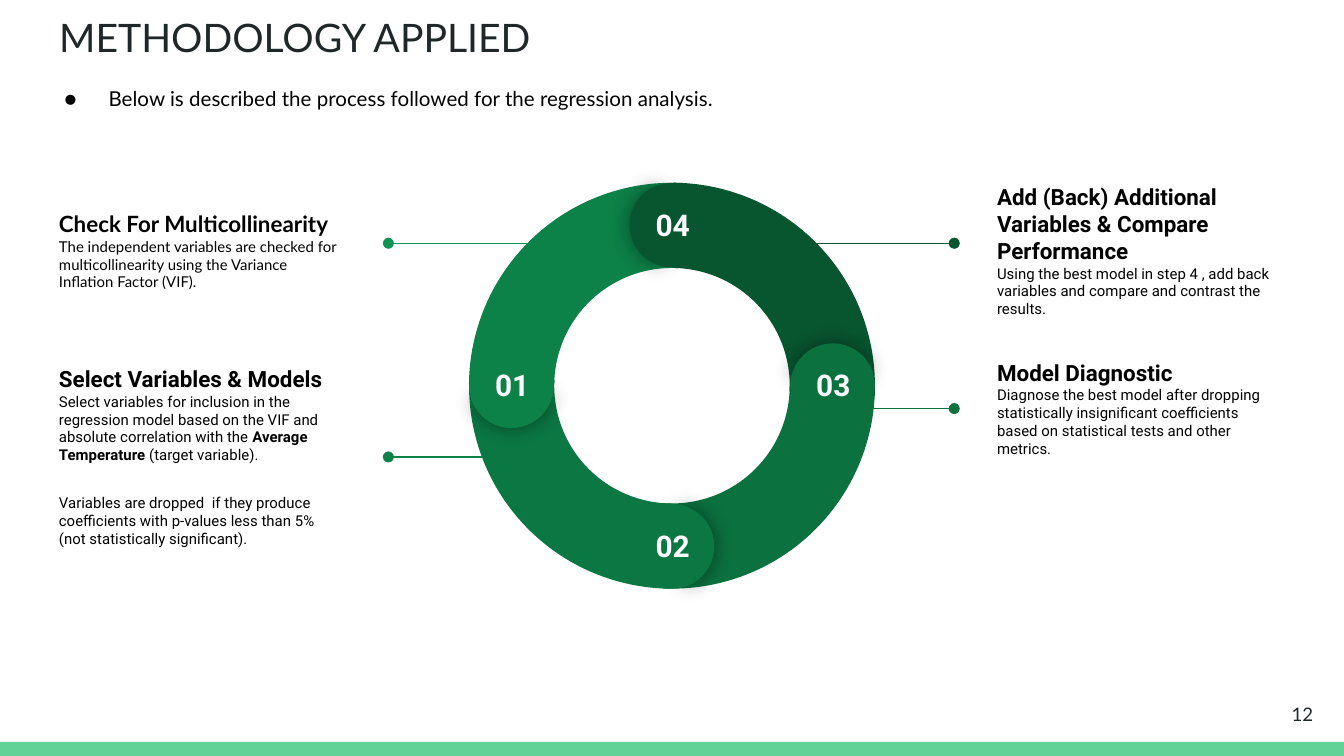
from math import cos, radians, sin

from lxml.etree import SubElement
from pptx import Presentation
from pptx.dml.color import RGBColor
from pptx.enum.shapes import MSO_CONNECTOR, MSO_SHAPE
from pptx.enum.text import MSO_ANCHOR, MSO_AUTO_SIZE, PP_ALIGN
from pptx.oxml.ns import qn
from pptx.util import Inches, Pt

BLACK = RGBColor(0x00, 0x00, 0x00)
WHITE = RGBColor(0xFF, 0xFF, 0xFF)
INK = RGBColor(0x20, 0x27, 0x29)
MINT = RGBColor(0x63, 0xD2, 0x97)
LIME = RGBColor(0x0E, 0x94, 0x53)
LEAF = RGBColor(0x0C, 0x81, 0x48)
MOSS = RGBColor(0x0B, 0x77, 0x43)
FERN = RGBColor(0x0B, 0x71, 0x3F)
PINE = RGBColor(0x08, 0x56, 0x30)

RING_X, RING_Y = 5, 2.87
RING, CAP = 3.02, 0.63

# number, colour, clockwise turn from the top of the ring
STEPS = [("03", FERN, 90), ("02", MOSS, 180), ("01", LEAF, 270), ("04", PINE, 0)]

# start x, end x, y, colour
LEADS = [
    (4.23, 2.89, 1.81, LIME),
    (3.91, 2.89, 3.4, LEAF),
    (6.14, 7.1, 3.04, FERN),
    (5.7, 7.1, 1.81, PINE),
]

# left, top, font, heading, body paragraphs made of (text, bold) runs
NOTES = [
    (0.34, 1.36, "Lato", "Check For Multicollinearity", [
        [("The independent variables are checked for multicollinearity using "
          "the Variance Inflation Factor (VIF).", False)]]),
    (0.34, 2.89, "Roboto", "Select Variables & Models", [
        [("Select variables for inclusion in the regression model based on "
          "the VIF and absolute correlation with the ", False),
         ("Average Temperature", True),
         (" (target variable).", False)],
        [("Variables are dropped  if they produce coefficients with p-values "
          "less than 5% (not statistically significant).", False)]]),
    (7.32, 2.53, "Roboto", "Model Diagnostic", [
        [("Diagnose the best model after dropping statistically insignificant "
          "coefficients based on statistical tests and other metrics.", False)]]),
    (7.32, 1.36, "Roboto",
     "Add (Back) Additional Variables & Compare Performance", [
        [("Using the best model in step 4 , add back variables and compare "
          "and contrast the results.", False)]]),
]


def set_frame(frame, anchor):
    frame.word_wrap = True
    frame.auto_size = MSO_AUTO_SIZE.NONE
    frame.vertical_anchor = anchor
    frame.margin_left = frame.margin_right = Inches(0.1)
    frame.margin_top = frame.margin_bottom = Inches(0.1)


def add_run(para, text, size, font="Lato", color=BLACK, bold=False):
    run = para.add_run()
    run.text = text
    run.font.size = Pt(size)
    run.font.name = font
    run.font.color.rgb = color
    run.font.bold = bold


def add_box(slide, left, top, width, height, anchor=MSO_ANCHOR.TOP):
    box = slide.shapes.add_textbox(
        Inches(left), Inches(top), Inches(width), Inches(height))
    set_frame(box.text_frame, anchor)
    return box.text_frame


def add_text(slide, text, left, top, width, height, align=PP_ALIGN.LEFT,
             anchor=MSO_ANCHOR.TOP, **style):
    para = add_box(slide, left, top, width, height, anchor).paragraphs[0]
    para.alignment = align
    add_run(para, text, **style)
    return para


def add_title(slide, text):
    title = slide.shapes.title
    title.left, title.top = Inches(0.34), Inches(0)
    title.width, title.height = Inches(9.32), Inches(0.63)
    set_frame(title.text_frame, MSO_ANCHOR.TOP)
    para = title.text_frame.paragraphs[0]
    para.alignment = PP_ALIGN.LEFT
    add_run(para, text, 21, color=INK)


def add_bullet(para):
    props = para._p.get_or_add_pPr()
    props.set("marL", str(Inches(0.5)))
    props.set("indent", str(Inches(-0.33)))
    color = SubElement(props, qn("a:buClr"))
    SubElement(color, qn("a:srgbClr"), val=str(BLACK))
    SubElement(props, qn("a:buFont"), typeface="Lato")
    SubElement(props, qn("a:buChar"), char="●")


def add_note(slide, left, top, font, head, body):
    frame = add_box(slide, left, top, 2.32, 1.01, MSO_ANCHOR.MIDDLE)
    add_run(frame.paragraphs[0], head, 12, font, bold=True)
    for i, runs in enumerate(body):
        para = frame.add_paragraph()
        para.space_before = Pt(16 if i else 0)
        for text, bold in runs:
            add_run(para, text, 8, font, bold=bold)
    para.space_after = Pt(16)


def add_lead(slide, start, end, y, color):
    lead = slide.shapes.add_connector(
        MSO_CONNECTOR.STRAIGHT, Inches(start), Inches(y), Inches(end), Inches(y))
    lead.line.color.rgb = color
    lead.line.width = Pt(0.75)
    props = lead._element.spPr
    SubElement(props.find(qn("a:ln")), qn("a:tailEnd"), type="oval")
    SubElement(props, qn("a:effectLst"))


def add_form(slide, kind, left, top, width, height, color, turn=0, adjust=()):
    form = slide.shapes.add_shape(
        kind, Inches(left), Inches(top), Inches(width), Inches(height))
    form.shadow.inherit = False
    form.fill.solid()
    form.fill.fore_color.rgb = color
    form.line.fill.background()
    form.rotation = turn
    for i, value in enumerate(adjust):
        form.adjustments[i] = value
    return form


def add_glow(form):
    """Add a soft shadow with no offset."""
    effects = form._element.spPr.find(qn("a:effectLst"))
    glow = SubElement(effects, qn("a:outerShdw"), blurRad=str(Pt(11.2)),
                      dist="0", dir="0", algn="bl", rotWithShape="0")
    color = SubElement(glow, qn("a:srgbClr"), val=str(BLACK))
    SubElement(color, qn("a:alpha"), val="43000")


def add_arc(slide, color, turn):
    add_form(slide, MSO_SHAPE.BLOCK_ARC, RING_X - RING / 2, RING_Y - RING / 2,
             RING, RING, color, (turn + 60) % 360, (126.23, 181.77, 0.21))


def add_cap(slide, label, color, turn):
    """Round off one arc: a shadowed tip, a cover over its rear, a number."""
    reach = (RING - CAP) / 2
    x = RING_X + reach * sin(radians(turn))
    y = RING_Y - reach * cos(radians(turn))
    area = (x - CAP / 2, y - CAP / 2, CAP, CAP, color)
    add_glow(add_form(slide, MSO_SHAPE.PIE, *area, turn + 0.7, (61.9, 149.96)))
    add_form(slide, MSO_SHAPE.PIE, *area, (turn + 180) % 360, (40.28, 171.84))
    add_text(slide, label, x - 0.27, y - 0.24, 0.55, 0.29, PP_ALIGN.CENTER,
             size=16, font="Roboto", color=WHITE, bold=True)


def main():
    deck = Presentation()
    deck.slide_width = Inches(10)
    deck.slide_height = deck.slide_width * 9 // 16
    slide = deck.slides.add_slide(deck.slide_layouts[5])

    add_form(slide, MSO_SHAPE.RECTANGLE, 0, 5.52, 10, 0.11, MINT)
    add_title(slide, "METHODOLOGY APPLIED")
    add_text(slide, "12", 9.27, 5.1, 0.6, 0.43, PP_ALIGN.RIGHT,
             MSO_ANCHOR.MIDDLE, size=10, color=INK)
    intro = add_text(
        slide, "Below is described the process followed for the regression analysis.",
        0.21, 0.54, 6.65, 0.39, size=11)
    add_bullet(intro)

    for lead in LEADS:
        add_lead(slide, *lead)
    for note in NOTES:
        add_note(slide, *note)
    for _, color, turn in STEPS:
        add_arc(slide, color, turn)
    for step in STEPS:
        add_cap(slide, *step)
    deck.save("out.pptx")


if __name__ == "__main__":
    main()
